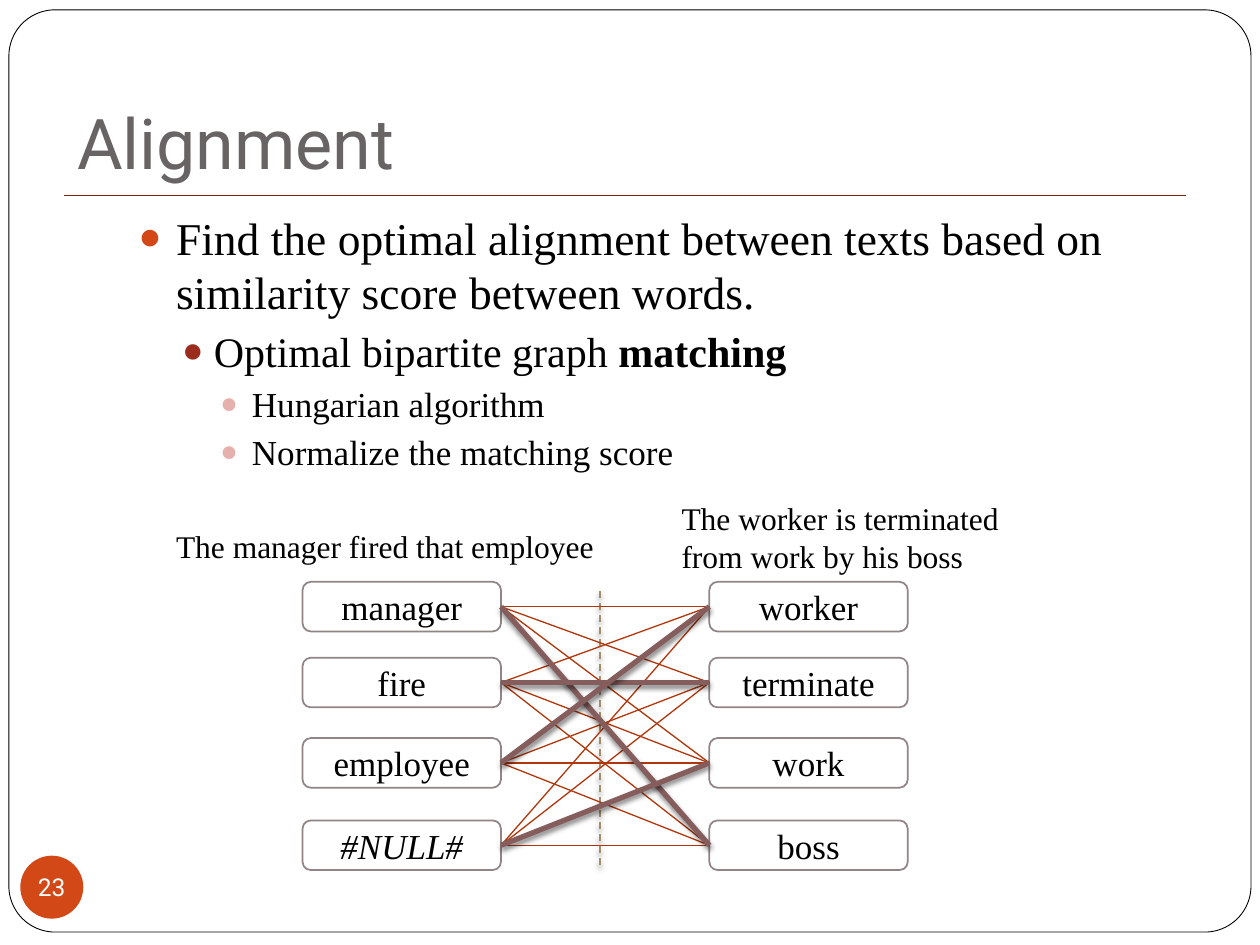
from itertools import product

from lxml.etree import SubElement
from pptx import Presentation
from pptx.dml.color import RGBColor
from pptx.enum.dml import MSO_LINE
from pptx.enum.shapes import MSO_CONNECTOR, MSO_SHAPE
from pptx.enum.text import MSO_ANCHOR, MSO_AUTO_SIZE, PP_ALIGN
from pptx.oxml.ns import qn
from pptx.util import Cm, Pt

BLACK = RGBColor(0x00, 0x00, 0x00)
WHITE = RGBColor(0xFF, 0xFF, 0xFF)
GREY = RGBColor(0x69, 0x64, 0x64)
ORANGE = RGBColor(0xD3, 0x48, 0x17)
BRICK = RGBColor(0x9B, 0x2D, 0x1F)
PINK = RGBColor(0xE6, 0xB1, 0xAC)
MAROON = RGBColor(0x81, 0x20, 0x14)
RUST = RGBColor(0xB1, 0x36, 0x0B)
MAUVE = RGBColor(0x85, 0x5D, 0x5D)
STONE = RGBColor(0x91, 0x84, 0x85)
TAN = RGBColor(0xA2, 0x8E, 0x6A)
SERIF, SANS = "Times New Roman", "Roboto"

# level: indent, hang, space before, bullet colour, text size
LEVELS = [
    (0.76, 0.76, 5.8, ORANGE, 26),
    (1.52, 0.64, 3.7, BRICK, 24),
    (2.29, 0.64, 3.7, PINK, 20),
]
POINTS = [
    (0, ["Find the optimal alignment between texts based on similarity score between words."]),
    (1, ["Optimal bipartite graph ", "matching"]),
    (2, ["Hungarian algorithm"]),
    (2, ["Normalize the matching score"]),
]
LEFT = ["manager", "fire", "employee", "#NULL#"]
RIGHT = ["worker", "terminate", "work", "boss"]
ROWS = [11.73, 13.26, 14.88, 16.54]
MATCHES = [(0, 3), (1, 1), (2, 0), (3, 2)]


def write(para, text, size=20, face=SERIF, color=BLACK, bold=False, italic=False, align=None):
    run = para.add_run()
    run.text = text
    font = run.font
    font.size, font.name, font.bold, font.italic = Pt(size), face, bold, italic
    font.color.rgb = color
    if align is not None:
        para.alignment = align


def bullet(para, level):
    indent, hang, before, color, _ = LEVELS[level]
    props = para._p.get_or_add_pPr()
    props.set("marL", str(Cm(indent)))
    props.set("indent", str(-Cm(hang)))
    tint = SubElement(props, qn("a:buClr"))
    SubElement(tint, qn("a:srgbClr"), val=str(color))
    SubElement(props, qn("a:buSzPct"), val="85000")
    SubElement(props, qn("a:buFont"), typeface=SERIF)
    SubElement(props, qn("a:buChar"), char="●")
    para.level = level
    return before


class Board:
    def __init__(self, slide):
        self.slide = slide
        self.shapes = slide.shapes

    def title(self, text, x, y, w, h):
        box = self.shapes.title
        box.left, box.top, box.width, box.height = Cm(x), Cm(y), Cm(w), Cm(h)
        frame = box.text_frame
        frame.auto_size = MSO_AUTO_SIZE.NONE
        frame.vertical_anchor = MSO_ANCHOR.BOTTOM
        frame.margin_bottom = Cm(0.25)
        write(frame.paragraphs[0], text, size=40, face=SANS, color=GREY, align=PP_ALIGN.LEFT)

    def label(self, x, y, w, h):
        frame = self.shapes.add_textbox(Cm(x), Cm(y), Cm(w), Cm(h)).text_frame
        frame.word_wrap = True
        return frame

    def caption(self, text, x, y, w, h):
        para = self.label(x, y, w, h).paragraphs[0]
        for n, line in enumerate(text.split("\n")):
            if n:
                para.add_line_break()
            write(para, line, size=18)

    def points(self, items, x, y, w, h):
        frame = self.label(x, y, w, h)
        for n, (level, parts) in enumerate(items):
            para = frame.add_paragraph() if n else frame.paragraphs[0]
            before = bullet(para, level)
            para.space_before = Pt(before if n else 0)
            for k, part in enumerate(parts):
                write(para, part, size=LEVELS[level][4], bold=k > 0)

    def shape(self, kind, x, y, w, h, fill=None, line=None, width=1):
        item = self.shapes.add_shape(kind, Cm(x), Cm(y), Cm(w), Cm(h))
        item.shadow.inherit = False
        if fill is None:
            item.fill.background()
        else:
            item.fill.solid()
            item.fill.fore_color.rgb = fill
        if line is None:
            item.line.fill.background()
        else:
            item.line.color.rgb = line
            item.line.width = Pt(width)
        return item

    def node(self, text, x, y):
        item = self.shape(MSO_SHAPE.ROUNDED_RECTANGLE, x, y, 4, 1, fill=WHITE, line=STONE)
        frame = item.text_frame
        frame.vertical_anchor = MSO_ANCHOR.MIDDLE
        write(frame.paragraphs[0], text, italic=text.startswith("#"), align=PP_ALIGN.CENTER)
        return item

    def line(self, x1, y1, x2, y2, color, width, dash=None, shade=False):
        item = self.shapes.add_connector(
            MSO_CONNECTOR.STRAIGHT, Cm(x1), Cm(y1), Cm(x2), Cm(y2))
        item.line.color.rgb = color
        item.line.width = Pt(width)
        if dash is not None:
            item.line.dash_style = dash
        effects = SubElement(item._element.spPr, qn("a:effectLst"))
        if shade:
            drop = SubElement(effects, qn("a:outerShdw"), blurRad=str(Pt(3)),
                              dist=str(Pt(2)), dir="5400000", rotWithShape="0")
            black = SubElement(drop, qn("a:srgbClr"), val=str(BLACK))
            SubElement(black, qn("a:alpha"), val="50000")
        return item

    def link(self, start, end, color, width, shade=False):
        item = self.line(0, 0, 1, 1, color, width, shade=shade)
        item.begin_connect(start, 3)
        item.end_connect(end, 1)

    def badge(self, text, x, y, size):
        item = self.shape(MSO_SHAPE.OVAL, x, y, size, size, fill=ORANGE)
        frame = item.text_frame
        frame.word_wrap = False
        frame.vertical_anchor = MSO_ANCHOR.MIDDLE
        frame.margin_left = frame.margin_right = frame.margin_top = frame.margin_bottom = 0
        write(frame.paragraphs[0], text, size=14, face=SANS, color=WHITE, align=PP_ALIGN.CENTER)


def main():
    deck = Presentation()
    deck.slide_width, deck.slide_height = Cm(25.4), Cm(19.05)
    board = Board(deck.slides.add_slide(deck.slide_layouts[5]))

    border = board.shape(MSO_SHAPE.ROUNDED_RECTANGLE, 0.18, 0.2, 25.04, 18.59,
                         line=BLACK, width=0.5)
    border.adjustments[0] = 0.05
    board.line(1.3, 3.94, 23.9, 3.94, MAROON, 0.75)
    board.title("Alignment", 1.3, 0.76, 22.83, 3.18)
    board.points(POINTS, 2.54, 4.1, 21.59, 12.7)

    left = [board.node(word, 6.1, y) for word, y in zip(LEFT, ROWS)]
    right = [board.node(word, 14.3, y) for word, y in zip(RIGHT, ROWS)]
    board.line(12.09, 11.91, 12.09, 17.53, TAN, 1, dash=MSO_LINE.DASH, shade=True)
    board.caption("The manager fired that employee", 3.3, 10.49, 9.4, 1.02)
    board.caption("The worker is terminated\nfrom work by his boss", 13.49, 9.93, 7.59, 1.8)

    for start, end in product(left, right):
        board.link(start, end, RUST, 0.75)
    for i, j in MATCHES:
        board.link(left[i], right[j], MAUVE, 3, shade=True)
    board.badge("23", 0.41, 17.25, 1.27)

    deck.save("out.pptx")


if __name__ == "__main__":
    main()
